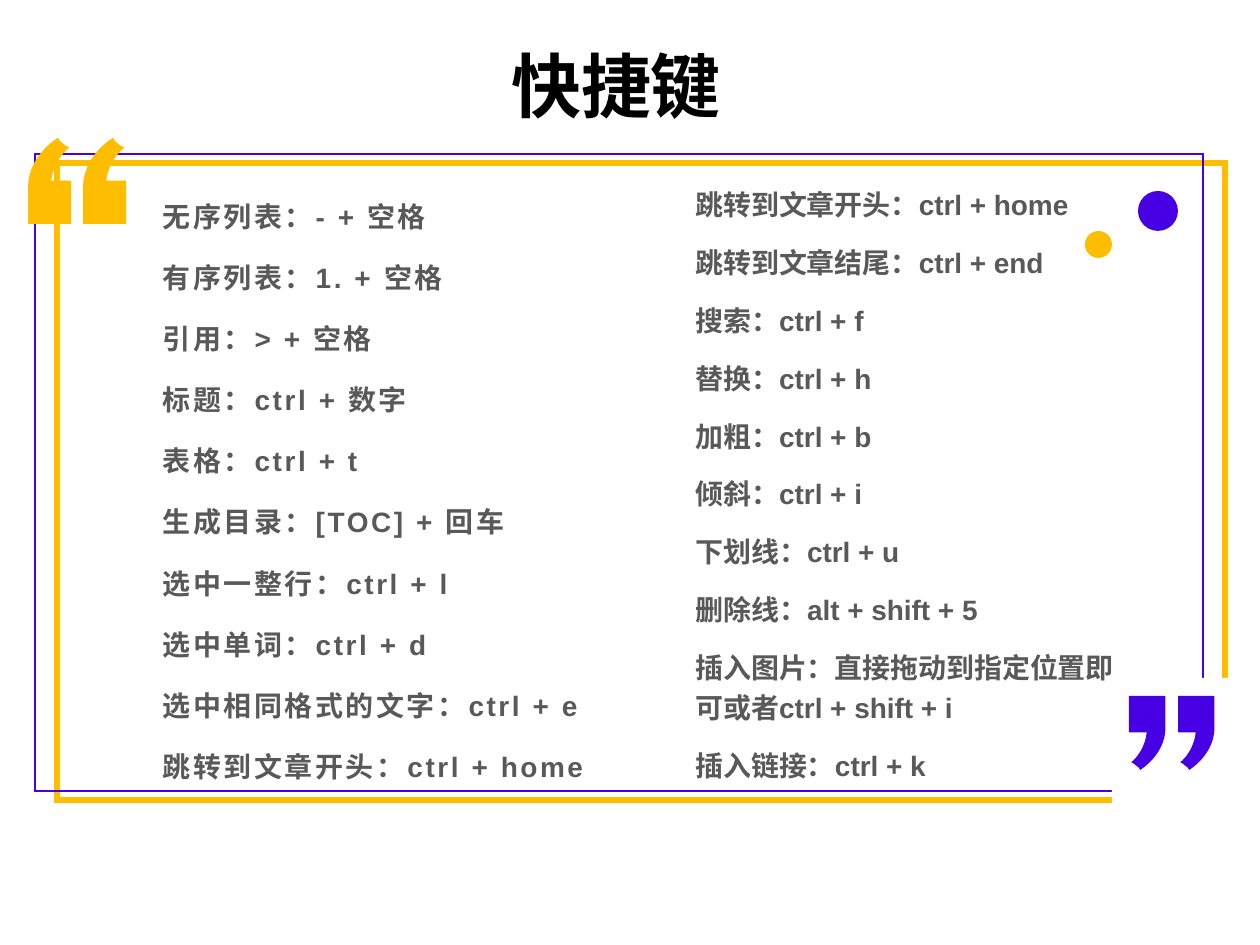
from dataclasses import dataclass

from lxml.etree import SubElement
from pptx import Presentation
from pptx.dml.color import RGBColor
from pptx.enum.shapes import MSO_SHAPE as Shape
from pptx.enum.text import MSO_AUTO_SIZE as AutoSize, PP_ALIGN as Align
from pptx.oxml.ns import qn
from pptx.util import Emu, Pt

EMU_PER_PX = 914400 / 126


@dataclass(frozen=True)
class Theme:
    yellow: str = "FFBD00"
    violet: str = "4700E4"
    white: str = "FFFFFF"
    black: str = "000000"
    gray: str = "595959"
    font: str = "Arial"
    title_size: int = 40
    body_size: int = 16
    space_before: int = 10


THEME = Theme()

LEFT_KEYS = [
    "无序列表：- + 空格",
    "有序列表：1. + 空格",
    "引用：> + 空格",
    "标题：ctrl + 数字",
    "表格：ctrl + t",
    "生成目录：[TOC] + 回车",
    "选中一整行：ctrl + l",
    "选中单词：ctrl + d",
    "选中相同格式的文字：ctrl + e",
    "跳转到文章开头：ctrl + home",
]
RIGHT_KEYS = [
    "跳转到文章开头：ctrl + home",
    "跳转到文章结尾：ctrl + end",
    "搜索：ctrl + f",
    "替换：ctrl + h",
    "加粗：ctrl + b",
    "倾斜：ctrl + i",
    "下划线：ctrl + u",
    "删除线：alt + shift + 5",
    "插入图片：直接拖动到指定位置即可或者ctrl + shift + i",
    "插入链接：ctrl + k",
]

# Outline of one quotation mark: a point is a line end, three points a curve.
MARK_HEIGHT = 67
MARK_START = (23, 0)
MARK_STEPS = [
    [(24, 2)],
    [(26, 3), (27, 5), (29, 6)],
    [(31, 7)],
    [(31, 7), (19, 16), (17, 34)],
    [(33, 34)],
    [(33, 67)],
    [(0, 67)],
    [(0, 37)],
    [(1, 13), (23, 0), (23, 0)],
]


def px(n):
    return Emu(round(n * EMU_PER_PX))


def rgb(color):
    return RGBColor.from_string(color)


def paint(sp, fill=None, line=None, width=1):
    sp.shadow.inherit = False
    if fill:
        sp.fill.solid()
        sp.fill.fore_color.rgb = rgb(fill)
    else:
        sp.fill.background()
    if line:
        sp.line.color.rgb = rgb(line)
        sp.line.width = Pt(width)
        ln = sp._element.spPr.find(qn("a:ln"))
        SubElement(ln, qn("a:miter"), lim="800000")
    else:
        sp.line.fill.background()


def add_shape(s, kind, box, **look):
    sp = s.shapes.add_shape(kind, *map(px, box))
    paint(sp, **look)


def bend(sp, steps):
    """Turn each run of three lines that stands for a curve into a Bezier."""
    lines = iter(list(sp._element.iter(qn("a:lnTo"))))
    for step in steps:
        first, *others = [next(lines) for _ in step]
        if others:
            first.tag = qn("a:cubicBezTo")
        for other in others:
            first.append(other[0])
            other.getparent().remove(other)


def add_quote(s, lefts, top, height, rotation=0, **look):
    group = s.shapes.add_group_shape()
    unit = height / MARK_HEIGHT
    outline = [MARK_START, *(point for step in MARK_STEPS for point in step)]
    for left in lefts:
        first, *rest = [(px(left + x * unit), px(top + y * unit))
                        for x, y in outline]
        builder = group.shapes.build_freeform(*first)
        builder.add_line_segments(rest, close=True)
        sp = builder.convert_to_shape()
        bend(sp, MARK_STEPS)
        sp.rotation = rotation
        paint(sp, **look)


def add_text(s, box, lines, size, color, align=Align.LEFT, line_spacing=None,
             tracking=0, insets=None, grow=True):
    """Add bold lines; tracking is in hundredths of a point, insets in px."""
    tf = s.shapes.add_textbox(*map(px, box)).text_frame
    tf.word_wrap = True
    tf.auto_size = AutoSize.SHAPE_TO_FIT_TEXT if grow else AutoSize.NONE
    if insets:
        tf.margin_left = tf.margin_right = px(insets[0])
        tf.margin_top = tf.margin_bottom = px(insets[1])
    for i, line in enumerate(lines):
        p = tf.add_paragraph() if i else tf.paragraphs[0]
        p.text = line
        p.alignment = align
        p.line_spacing = line_spacing
        if i:
            p.space_before = Pt(THEME.space_before)
        r = p.runs[0]
        r.font.name = THEME.font
        r.font.size = Pt(size)
        r.font.bold = True
        r.font.color.rgb = rgb(color)
        if tracking:
            r.font._element.set("spc", str(tracking))


def main():
    prs = Presentation()
    prs.slide_width, prs.slide_height = px(1260), px(945)
    s = prs.slides.add_slide(prs.slide_layouts[6])

    add_shape(s, Shape.RECTANGLE, (57, 163, 1168, 637),
              line=THEME.yellow, width=3.25)
    add_shape(s, Shape.RECTANGLE, (35, 154, 1168, 637), line=THEME.violet)
    add_shape(s, Shape.RECTANGLE, (1112, 678, 127, 137), fill=THEME.white)

    add_quote(s, (29, 84), 139, 84, fill=THEME.yellow, line=THEME.yellow)
    add_quote(s, (1178, 1129), 696, 74, rotation=180, fill=THEME.violet)

    add_text(s, (154, 184, 471, 524), LEFT_KEYS, THEME.body_size, THEME.gray,
             line_spacing=1.3, tracking=150, insets=(9, 5), grow=False)
    add_shape(s, Shape.OVAL, (1085, 231, 27, 27), fill=THEME.yellow)
    add_shape(s, Shape.OVAL, (1138, 191, 40, 40), fill=THEME.violet)
    add_text(s, (391, 36, 450, 97), ["快捷键"], THEME.title_size, THEME.black,
             align=Align.CENTER)
    add_text(s, (683, 175, 454, 653), RIGHT_KEYS, THEME.body_size, THEME.gray,
             line_spacing=1.2)

    prs.save("out.pptx")


if __name__ == "__main__":
    main()
